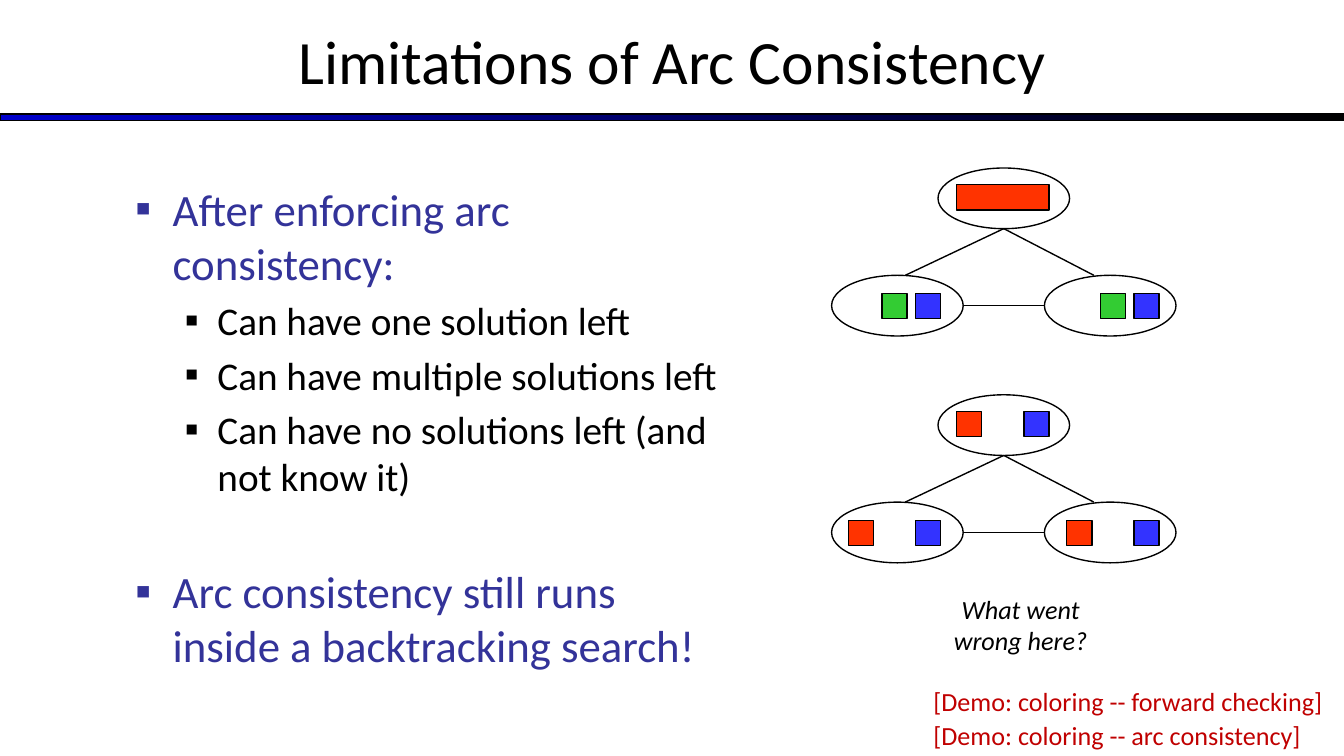
from pptx import Presentation
from pptx.dml.color import RGBColor
from pptx.enum.shapes import MSO_CONNECTOR, MSO_SHAPE
from pptx.enum.text import MSO_ANCHOR, PP_ALIGN
from pptx.oxml.ns import qn
from pptx.util import Pt
from lxml.etree import SubElement

COLORS = {
    "ink": "000000", "heading": "333399", "demo": "C00000", "rule": "0000CC",
    "red": "FF3300", "green": "33CC33", "blue": "3333FF",
}
SLOTS = {"red": 0, "green": 18, "blue": 36}
LEVELS = [
    {"size": 24, "color": "heading", "margin": 20, "hang": 20},
    {"size": 21, "color": "ink", "margin": 44, "hang": 17.5},
]
BULLETS = [
    (0, 0, "After enforcing arc consistency:"),
    (1, 4, "Can have one solution left"),
    (1, 4, "Can have multiple solutions left"),
    (1, 4, "Can have no solutions left (and not know it)"),
    (0, 34.5, "Arc consistency still runs inside a backtracking search!"),
]


def rgb(name):
    """Return the named colour."""
    return RGBColor.from_string(COLORS[name])


def format_font(font, size, color, **extra):
    """Apply the slide's font settings."""
    values = {"name": "Calibri", "size": Pt(size), "bold": False, **extra}
    for key, value in values.items():
        setattr(font, key, value)
    font.color.rgb = rgb(color)


def format_frame(tf, anchor=MSO_ANCHOR.TOP):
    """Set wrapping, anchor and insets of a text frame."""
    values = {
        "word_wrap": True, "vertical_anchor": anchor,
        "margin_left": Pt(5), "margin_right": Pt(5),
        "margin_top": Pt(2.7), "margin_bottom": Pt(2.7),
    }
    for key, value in values.items():
        setattr(tf, key, value)


def add_outlined(s, kind, box, fill=None):
    """Add a thinly outlined shape with an optional plain fill."""
    sp = s.shapes.add_shape(kind, *map(Pt, box))
    sp.shadow.inherit = False
    sp.line.color.rgb = rgb("ink")
    sp.line.width = Pt(0.75)
    if fill:
        sp.fill.solid()
        sp.fill.fore_color.rgb = rgb(fill)
    else:
        sp.fill.background()
    return sp


def add_edge(s, start, end):
    """Draw a thin straight line between two points."""
    line = s.shapes.add_connector(MSO_CONNECTOR.STRAIGHT, *map(Pt, start + end))
    line.line.color.rgb = rgb("ink")
    line.line.width = Pt(0.75)
    SubElement(line._element.spPr, qn("a:effectLst"))


def add_header(s, box):
    """Place the title and the gradient rule along its lower edge."""
    left, top, width, height = box
    rule = add_outlined(s, MSO_SHAPE.RECTANGLE, (left, top + 62.5, width, 3.6))
    rule.fill.gradient()
    rule.fill.gradient_angle = 0
    for stop, color, position in zip(rule.fill.gradient_stops, ("rule", "ink"), (0, 1)):
        stop.color.rgb = rgb(color)
        stop.position = position
    title = s.shapes.title
    for key, value in zip(("left", "top", "width", "height"), box):
        setattr(title, key, Pt(value))
    tf = title.text_frame
    format_frame(tf, MSO_ANCHOR.MIDDLE)
    tf.text = "Limitations of Arc Consistency"
    p = tf.paragraphs[0]
    p.alignment = PP_ALIGN.CENTER
    format_font(p.runs[0].font, 33, "ink")


def add_bullets(s, box):
    """Fill a text box with the two-level bullet list."""
    tf = s.shapes.add_textbox(*map(Pt, box)).text_frame
    format_frame(tf)
    for i, (level, before, text) in enumerate(BULLETS):
        style = LEVELS[level]
        p = tf.add_paragraph() if i else tf.paragraphs[0]
        p.level = level
        p.space_before = Pt(before)
        pPr = p._p.get_or_add_pPr()
        pPr.set("marL", str(Pt(style["margin"])))
        pPr.set("indent", str(-Pt(style["hang"])))
        color = SubElement(pPr, qn("a:buClr"))
        SubElement(color, qn("a:srgbClr"), val=COLORS[style["color"]])
        SubElement(pPr, qn("a:buFont"), typeface="Calibri")
        SubElement(pPr, qn("a:buChar"), char="▪")
        r = p.add_run()
        r.text = text
        format_font(r.font, style["size"], style["color"])


def add_triangle(s, box, domains):
    """Draw three linked nodes with the colours left in each domain."""
    left, top, width, height = box
    node_w, node_h, swatch = 70.5, 32.5, 13.5
    mid, right, low = (width - node_w) / 2, width - node_w, height - node_h
    for dx, dy in ((mid, 0), (right, low), (0, low)):
        add_outlined(s, MSO_SHAPE.OVAL, (left + dx, top + dy, node_w, node_h))
    apex = (left + width / 2, top + node_h)
    for dx in (39.5, 140.5):
        add_edge(s, apex, (left + dx, top + low))
    axis = top + low + node_h / 2
    add_edge(s, (left + node_w, axis), (left + right, axis))
    for (dx, dy), colors in zip(((67, 9), (9, 67.25), (126, 67.25)), domains):
        for color in colors:
            swatch_w = 49.5 if len(colors) == 1 else swatch
            spot = (left + dx + SLOTS[color], top + dy, swatch_w, swatch)
            add_outlined(s, MSO_SHAPE.RECTANGLE, spot, color)


def add_note(s, box, text, color="ink", align=PP_ALIGN.LEFT, italic=False):
    """Add a small one-paragraph note."""
    tf = s.shapes.add_textbox(*map(Pt, box)).text_frame
    format_frame(tf)
    p = tf.paragraphs[0]
    p.alignment = align
    r = p.add_run()
    r.text = text
    format_font(r.font, 14, color, italic=italic)


def main():
    """Build and save the slide."""
    prs = Presentation()
    prs.slide_width, prs.slide_height = Pt(720), Pt(405)
    s = prs.slides.add_slide(prs.slide_layouts.get_by_name("Title Only"))
    add_header(s, (0, -1.5, 720, 67.5))
    add_bullets(s, (67.5, 94.5, 328.5, 267))
    add_triangle(s, (445.5, 90, 184.5, 90), [("red",), ("green", "blue"), ("green", "blue")])
    add_triangle(s, (445.5, 211.5, 184.5, 90), [("red", "blue")] * 3)
    add_note(s, (495, 315, 103.5, 38), "What went wrong here?", align=PP_ALIGN.CENTER, italic=True)
    add_note(s, (495, 364.5, 227, 22), "[Demo: coloring -- forward checking]", "demo")
    add_note(s, (495, 382.5, 216, 22), "[Demo: coloring -- arc consistency]", "demo")
    prs.save("out.pptx")


if __name__ == "__main__":
    main()
